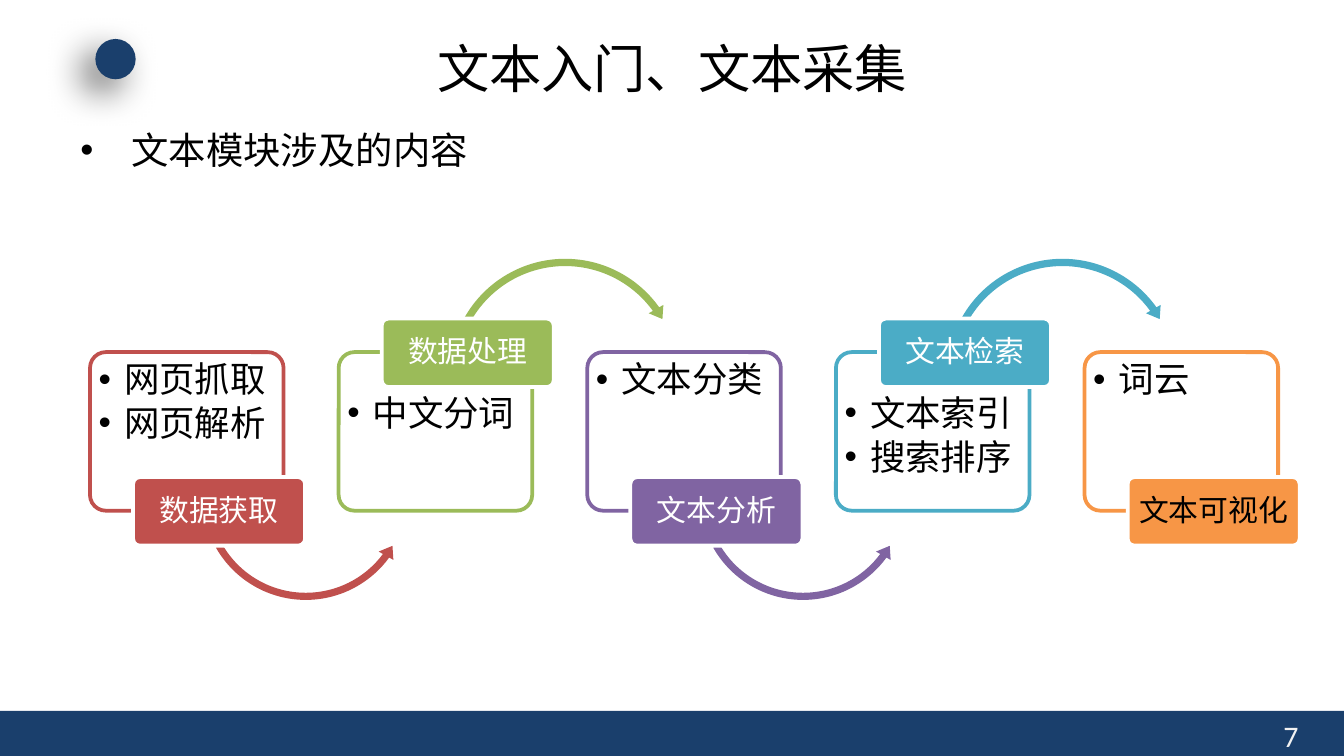
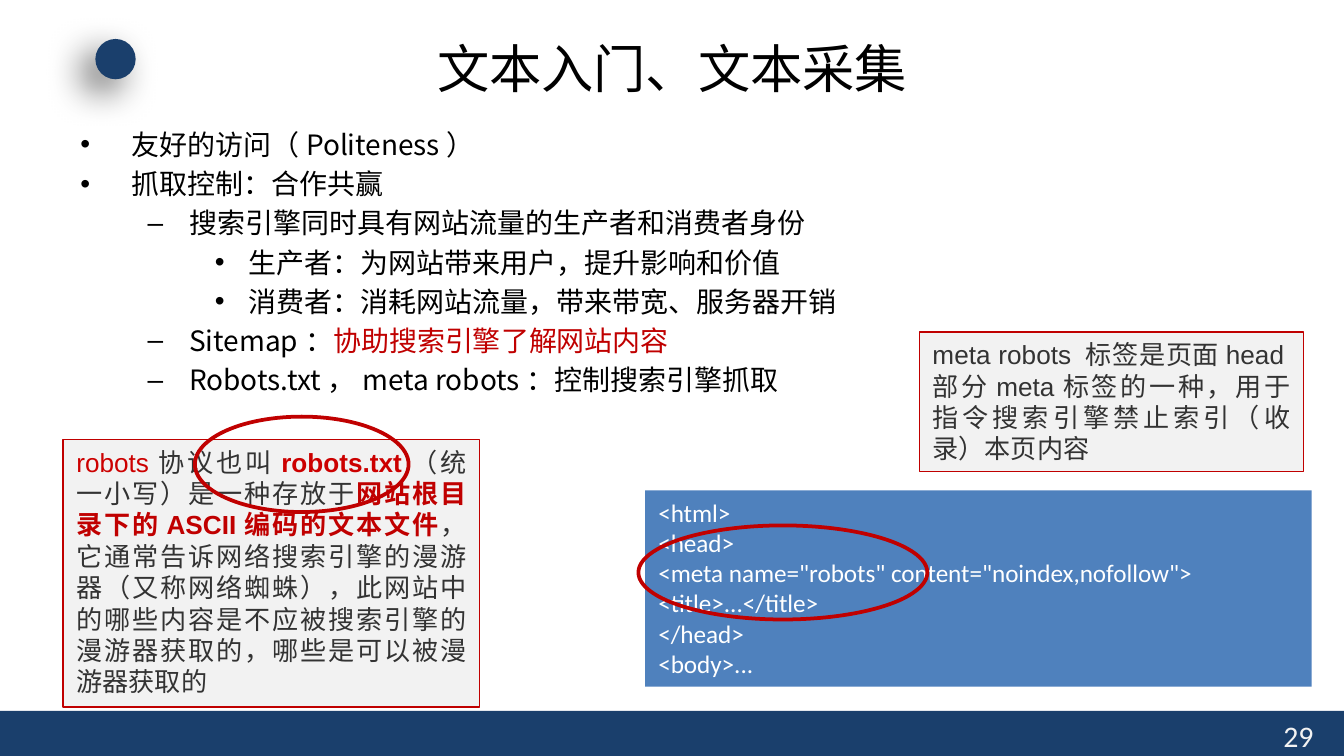
from dataclasses import dataclass

from lxml.etree import SubElement
from pptx import Presentation
from pptx.dml.color import RGBColor
from pptx.enum.shapes import MSO_SHAPE as SHAPE
from pptx.enum.text import MSO_ANCHOR as ANCHOR, MSO_AUTO_SIZE as FIT, PP_ALIGN as ALIGN
from pptx.oxml.ns import qn
from pptx.util import Inches, Pt


@dataclass(frozen=True)
class Theme:
    navy: str = "1A3F6C"
    white: str = "FFFFFF"
    black: str = "000000"
    pale: str = "F2F2F2"
    gray: str = "333333"
    red: str = "C00000"
    bright_red: str = "CC0000"
    code_blue: str = "4F81BD"
    steps: tuple = ("C0504D", "9BBB59", "8064A2", "4BACC6", "F79646")
    cjk: str = "Noto Sans CJK SC"
    latin: str = "Calibri"
    note: str = "Arial"
    title_size: float = 28
    topic_size: float = 20
    outline_size: float = 15
    step_item_size: float = 19
    step_label_size: float = 16
    note_size: float = 14
    code_size: float = 13.5
    number_size: float = 16


T = Theme()

# ---- Content ----
TITLE = "文本入门、文本采集"

# Outline lines: (level, runs); a run is (text, colour)
TOPIC = [(0, [("文本模块涉及的内容", T.black)])]
OUTLINE = [
    (0, [("友好的访问（Politeness）", T.black)]),
    (0, [("抓取控制：合作共赢", T.black)]),
    (1, [("搜索引擎同时具有网站流量的生产者和消费者身份", T.black)]),
    (2, [("生产者：为网站带来用户，提升影响和价值", T.black)]),
    (2, [("消费者：消耗网站流量，带来带宽、服务器开销", T.black)]),
    (1, [("Sitemap：", T.black), ("协助搜索引擎了解网站内容", T.red)]),
    (1, [("Robots.txt，meta robots：控制搜索引擎抓取", T.black)]),
]

# Process steps: (label, label colour, items)
STEPS = [
    ("数据获取", T.white, ["网页抓取", "网页解析"]),
    ("数据处理", T.white, ["中文分词"]),
    ("文本分析", T.white, ["文本分类"]),
    ("文本检索", T.white, ["文本索引", "搜索排序"]),
    ("文本可视化", T.black, ["词云"]),
]

# Note runs: (text, colour, bold)
ROBOTS_NOTE = [
    ("robots", T.bright_red, False),
    ("协议也叫", T.gray, False),
    ("robots.txt", T.bright_red, True),
    ("（统一小写）是一种存放于", T.gray, False),
    ("网站根目录下的ASCII编码的文本文件", T.red, True),
    ("，它通常告诉网络搜索引擎的漫游器（又称网络蜘蛛），此网站中的哪些内容是不应被"
     "搜索引擎的漫游器获取的，哪些是可以被漫游器获取的", T.gray, False),
]
META_NOTE = [("meta robots 标签是页面head部分meta标签的一种，"
              "用于指令搜索引擎禁止索引（收录）本页内容", T.gray, False)]
CODE = [
    "<html>",
    "<head>",
    '<meta name="robots" content="noindex,nofollow">',
    "<title>...</title>",
    "</head>",
    "<body>...",
]

# Bullet character, left margin and hanging indent per outline level
LEVELS = [("•", 0.38, 0.38), ("–", 0.81, 0.31), ("•", 1.25, 0.25)]


# ---- Helpers ----
def rgb(color):
    return RGBColor.from_string(color)


def add_shape(slide, kind, at, fill=None, line=None, width=2, adj=()):
    sp = slide.shapes.add_shape(kind, *map(Inches, at))
    sp.shadow.inherit = False
    for i, value in enumerate(adj):
        sp.adjustments[i] = value
    if fill:
        sp.fill.solid()
        sp.fill.fore_color.rgb = rgb(fill)
    else:
        sp.fill.background()
    if line:
        sp.line.color.rgb = rgb(line)
        sp.line.width = Pt(width)
    else:
        sp.line.fill.background()
    return sp


def add_box(slide, at):
    return slide.shapes.add_textbox(*map(Inches, at))


def frame(sp, anchor=ANCHOR.TOP, insets=(0.1, 0.05, 0.1, 0.05), fit=FIT.NONE):
    tf = sp.text_frame
    tf.word_wrap = True
    tf.auto_size = fit
    tf.vertical_anchor = anchor
    tf.margin_left, tf.margin_top, tf.margin_right, tf.margin_bottom = map(Inches, insets)
    return tf


def paragraphs(tf, count):
    return [tf.paragraphs[0]] + [tf.add_paragraph() for _ in range(count - 1)]


def add_run(p, text, size, color, font, bold=False):
    r = p.add_run()
    r.text = text
    r.font.size = Pt(size)
    r.font.bold = bold
    r.font.name = font
    r.font.color.rgb = rgb(color)
    SubElement(r._r.get_or_add_rPr(), qn("a:ea")).set("typeface", T.cjk)


def add_bullet(p, char, margin, hang):
    pPr = p._p.get_or_add_pPr()
    pPr.set("marL", str(Inches(margin)))
    pPr.set("indent", str(-Inches(hang)))
    SubElement(pPr, qn("a:buFont")).set("typeface", "Arial")
    SubElement(pPr, qn("a:buChar")).set("char", char)


def add_soft_shadow(sp):
    effects = sp._element.spPr.find(qn("a:effectLst"))
    shadow = SubElement(effects, qn("a:outerShdw"), blurRad=str(Pt(20)), dist=str(Pt(10)),
                        dir=str(135 * 60000), algn="tr", rotWithShape="0")
    color = SubElement(shadow, qn("a:srgbClr"), val=T.black)
    SubElement(color, qn("a:alpha"), val="60000")


# ---- Shared slide parts ----
def add_slide(prs, number):
    slide = prs.slides.add_slide(prs.slide_layouts[6])
    add_shape(slide, SHAPE.RECTANGLE, (0, 5.29, 10, 0.34), T.navy)
    p = frame(add_box(slide, (9.45, 5.29, 0.5, 0.3))).paragraphs[0]
    add_run(p, str(number), T.number_size, T.pale, T.latin)
    add_soft_shadow(add_shape(slide, SHAPE.OVAL, (0.71, 0.29, 0.3, 0.3), T.navy))
    p = frame(add_box(slide, (0.5, 0.23, 9, 0.55)), ANCHOR.MIDDLE).paragraphs[0]
    p.alignment = ALIGN.CENTER
    add_run(p, TITLE, T.title_size, T.black, T.cjk)
    return slide


def add_outline(slide, lines, size):
    tf = frame(add_box(slide, (0.5, 0.9, 9, 4.31)))
    for i, (p, (level, runs)) in enumerate(zip(paragraphs(tf, len(lines)), lines)):
        p.level = level
        if i:
            p.space_before = Pt(size * 0.2)
        add_bullet(p, *LEVELS[level])
        for text, color in runs:
            add_run(p, text, size, color, T.cjk)


# ---- Process diagram ----
def add_step(slide, i, label, label_color, items):
    color, left, raised = T.steps[i], 0.67 + 1.85 * i, i % 2 == 1

    # Outlined card with its items, kept clear of a raised label
    card = add_shape(slide, SHAPE.ROUNDED_RECTANGLE, (left, 2.62, 1.44, 1.18),
                     T.white, color, adj=[0.1])
    fill = card._element.spPr.find(qn("a:solidFill"))
    SubElement(fill[0], qn("a:alpha"), val="90000")
    tf = frame(card, insets=(0.03, 0.29 if raised else 0.04, 0.03, 0.04))
    for p, item in zip(paragraphs(tf, len(items)), items):
        p.alignment = ALIGN.LEFT
        p.line_spacing = 0.9
        p.space_after = Pt(T.step_item_size * 0.15)
        add_bullet(p, "•", 0.19, 0.19)
        add_run(p, item, T.step_item_size, T.black, T.latin)

    # Curved arrow to the next step
    if i < len(STEPS) - 1:
        if raised:
            add_shape(slide, SHAPE.CIRCULAR_ARROW, (left + 0.79, 1.89, 1.79, 1.79), color,
                      adj=[0.03, 3.629, 194.616, 125.755, 0.035])
        else:
            add_shape(slide, SHAPE.LEFT_CIRCULAR_ARROW, (left + 0.8, 2.89, 1.61, 1.61), color,
                      adj=[0.033, 4.076, 21.831, 90.245, 0.039])

    # Label
    tag = add_shape(slide, SHAPE.ROUNDED_RECTANGLE,
                    (left + 0.32, 2.37 if raised else 3.55, 1.28, 0.51),
                    color, T.white, adj=[0.1])
    p = frame(tag, ANCHOR.MIDDLE, (0.03, 0.02, 0.03, 0.02)).paragraphs[0]
    p.alignment = ALIGN.CENTER
    p.line_spacing = 0.9
    add_run(p, label, T.step_label_size, label_color, T.latin)


# ---- Notes and code ----
def add_note(slide, at, runs):
    sp = add_shape(slide, SHAPE.RECTANGLE, at, T.pale, T.red, 0.75)
    p = frame(sp, fit=FIT.SHAPE_TO_FIT_TEXT).paragraphs[0]
    p.alignment = ALIGN.JUSTIFY
    for text, color, bold in runs:
        add_run(p, text, T.note_size, color, T.note, bold)


def add_code(slide, at):
    tf = frame(add_shape(slide, SHAPE.RECTANGLE, at, T.code_blue), fit=FIT.SHAPE_TO_FIT_TEXT)
    for p, line in zip(paragraphs(tf, len(CODE)), CODE):
        p.alignment = ALIGN.LEFT
        add_run(p, line, T.code_size, T.white, T.latin)


def add_ring(slide, at):
    add_shape(slide, SHAPE.OVAL, at, line=T.red)


def main():
    prs = Presentation()
    prs.slide_width = Inches(10)
    prs.slide_height = prs.slide_width * 9 // 16

    # Text module overview
    slide = add_slide(prs, 7)
    add_outline(slide, TOPIC, T.topic_size)
    for i, step in enumerate(STEPS):
        add_step(slide, i, *step)

    # Polite crawling
    slide = add_slide(prs, 29)
    add_outline(slide, OUTLINE, T.outline_size)
    add_note(slide, (0.47, 3.27, 3.1, 1.99), ROBOTS_NOTE)
    add_ring(slide, (1.45, 3.1, 1.59, 0.71))
    add_code(slide, (4.8, 3.65, 4.96, 1.46))
    add_note(slide, (6.84, 2.47, 2.86, 1.04), META_NOTE)
    add_ring(slide, (4.75, 3.91, 2.15, 0.7))

    prs.save("out.pptx")


if __name__ == "__main__":
    main()
